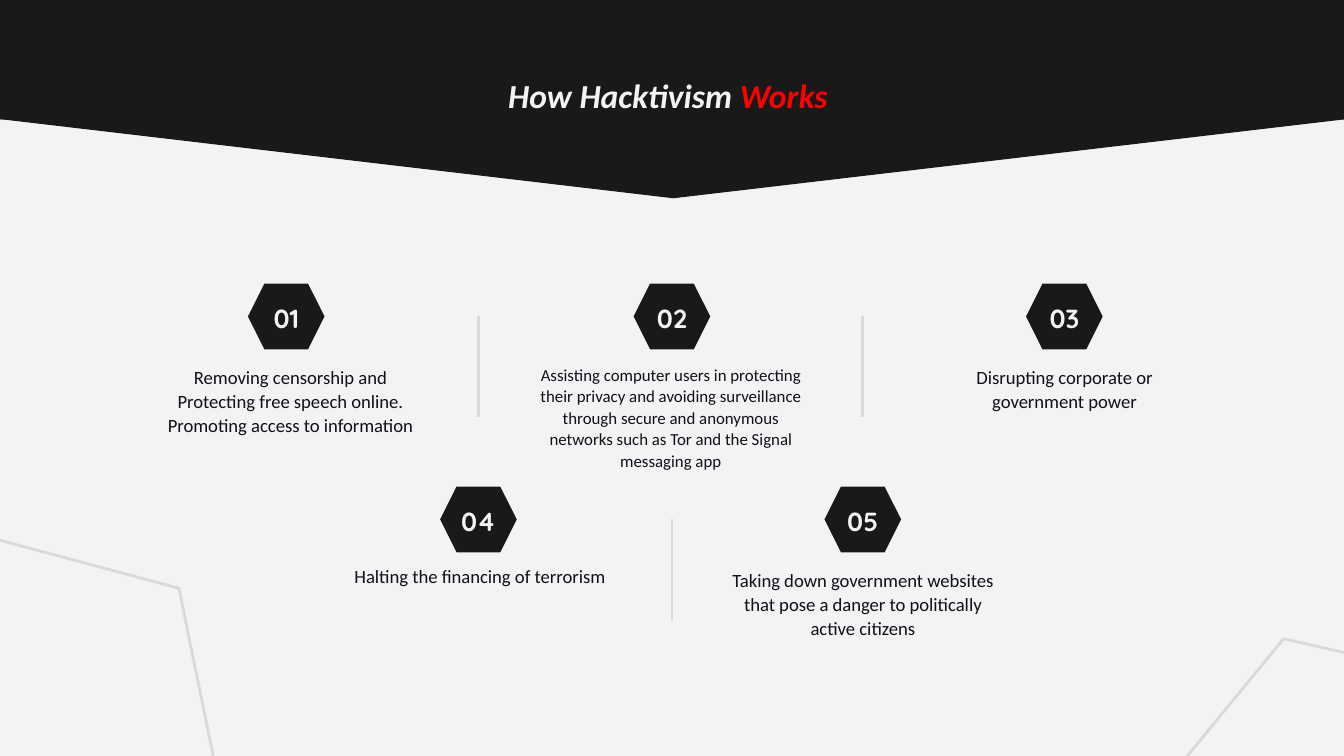
from dataclasses import dataclass

from lxml.etree import SubElement
from pptx import Presentation
from pptx.dml.color import RGBColor
from pptx.enum.shapes import MSO_CONNECTOR as Connector, MSO_SHAPE as Shape
from pptx.enum.text import MSO_ANCHOR as Anchor, PP_ALIGN as Align
from pptx.oxml.ns import qn
from pptx.util import Inches, Pt


@dataclass(frozen=True)
class Theme:
    paper: str = "F3F3F3"
    dark: str = "191919"
    body: str = "0E101A"
    accent: str = "FF0000"
    rule: str = "D9D9D9"
    body_font: str = "Calibri"
    number_font: str = "Quicksand"
    title_size: int = 18
    number_size: int = 14
    body_size: int = 10
    small_size: int = 9
    rule_width: float = 1.5
    spacing: float = 1.07


THEME = Theme()
WIDTH = 10
HEIGHT = WIDTH * 9 / 16
COLUMNS = (2.13, 3.56, 5, 6.42, 7.92)
ROWS = (2.11, 3.62)
BADGE = (0.57, 0.49)
NUMBER = (0.82, 0.33)
CAPTION = (2.15, 0.63)
RULE_DROP, RULE_LENGTH = 0.24, 0.75

TITLE = [("How Hacktivism ", THEME.paper), ("Works", THEME.accent)]
STEPS = [
    dict(number="01", column=0, row=0, shift=(0.03, 0), size=THEME.body_size,
         lines=["Removing censorship and Protecting free speech online.",
                "Promoting access to information"]),
    dict(number="02", column=2, row=0, shift=(-0.01, -0.01), size=THEME.small_size,
         lines=["Assisting computer users in protecting their privacy and avoiding "
                "surveillance through secure and anonymous networks such as Tor "
                "and the Signal messaging app"]),
    dict(number="03", column=4, row=0, shift=(0, 0), size=THEME.body_size,
         lines=["Disrupting corporate or government power"]),
    dict(number="04", column=1, row=1, shift=(0.01, -0.02), size=THEME.body_size,
         lines=["Halting the financing of terrorism"]),
    dict(number="05", column=3, row=1, shift=(0, 0), size=THEME.body_size,
         lines=["Taking down government websites that pose a danger to "
                "politically active citizens"]),
]
DIVIDERS = [(1, 0), (3, 0), (2, 1)]
OUTLINES = [((-1.56, 4.08, 3.23, 2.53), 15), ((8.29, 5.05, 3.23, 2.53), 309.4)]


def color(value):
    return RGBColor.from_string(value)


def centred(center, top, size):
    return center - size[0] / 2, top, *size


def add_figure(slide, kind, box, fill=None, line=None, width=0.75, rotation=0):
    figure = slide.shapes.add_shape(kind, *map(Inches, box))
    figure.shadow.inherit = False
    figure.rotation = rotation
    if fill:
        figure.fill.solid()
        figure.fill.fore_color.rgb = color(fill)
    else:
        figure.fill.background()
    if line:
        figure.line.color.rgb = color(line)
        figure.line.width = Pt(width)
    else:
        figure.line.fill.background()


def add_text(slide, paragraphs, box, *, size, font=THEME.body_font, bold=False,
             italic=False, spacing=1.0, anchor=Anchor.TOP):
    frame = slide.shapes.add_textbox(*map(Inches, box)).text_frame
    frame.word_wrap = True
    frame.vertical_anchor = anchor
    frame.margin_left = frame.margin_right = Inches(0.1)
    frame.margin_top = frame.margin_bottom = Inches(0.1)
    for index, runs in enumerate(paragraphs):
        paragraph = frame.add_paragraph() if index else frame.paragraphs[0]
        paragraph.alignment = Align.CENTER
        paragraph.line_spacing = spacing
        for words, ink in runs:
            run = paragraph.add_run()
            run.text = words
            run.font.name = font
            run.font.size = Pt(size)
            run.font.bold = bold
            run.font.italic = italic
            run.font.color.rgb = color(ink)


def add_divider(slide, column, row):
    x, top = COLUMNS[column], ROWS[row] + RULE_DROP
    divider = slide.shapes.add_connector(
        Connector.STRAIGHT, *map(Inches, (x, top, x, top + RULE_LENGTH)))
    divider.line.color.rgb = color(THEME.rule)
    divider.line.width = Pt(THEME.rule_width)
    SubElement(divider._element.spPr, qn("a:effectLst"))


def add_step(slide, number, column, row, shift, size, lines):
    center, top = COLUMNS[column], ROWS[row]
    dx, dy = shift
    add_figure(slide, Shape.HEXAGON, centred(center, top, BADGE), fill=THEME.dark)
    add_text(slide, [[(number, THEME.paper)]], centred(center, top + 0.09, NUMBER),
             size=THEME.number_size, font=THEME.number_font, bold=True,
             anchor=Anchor.MIDDLE)
    add_text(slide, [[(line, THEME.body)] for line in lines],
             centred(center + dx, top + 0.5 + dy, CAPTION),
             size=size, spacing=THEME.spacing)


def main():
    deck = Presentation()
    deck.slide_width, deck.slide_height = Inches(WIDTH), Inches(HEIGHT)
    slide = deck.slides.add_slide(deck.slide_layouts[6])
    slide.background.fill.solid()
    slide.background.fill.fore_color.rgb = color(THEME.paper)

    add_figure(slide, Shape.ISOSCELES_TRIANGLE, (-0.01, 0.88, 10.04, 0.59),
               fill=THEME.dark, line=THEME.dark, rotation=180)
    add_figure(slide, Shape.RECTANGLE, (-0.01, -0.04, 10.04, 0.93), fill=THEME.dark)
    add_text(slide, [TITLE], (3.34, 0.44, 3.26, 0.75), size=THEME.title_size,
             bold=True, italic=True, spacing=THEME.spacing)

    for step in STEPS:
        add_step(slide, **step)
    for column, row in DIVIDERS:
        add_divider(slide, column, row)
    for box, rotation in OUTLINES:
        add_figure(slide, Shape.HEXAGON, box, line=THEME.rule,
                   width=THEME.rule_width, rotation=rotation)

    deck.save("out.pptx")


if __name__ == "__main__":
    main()
